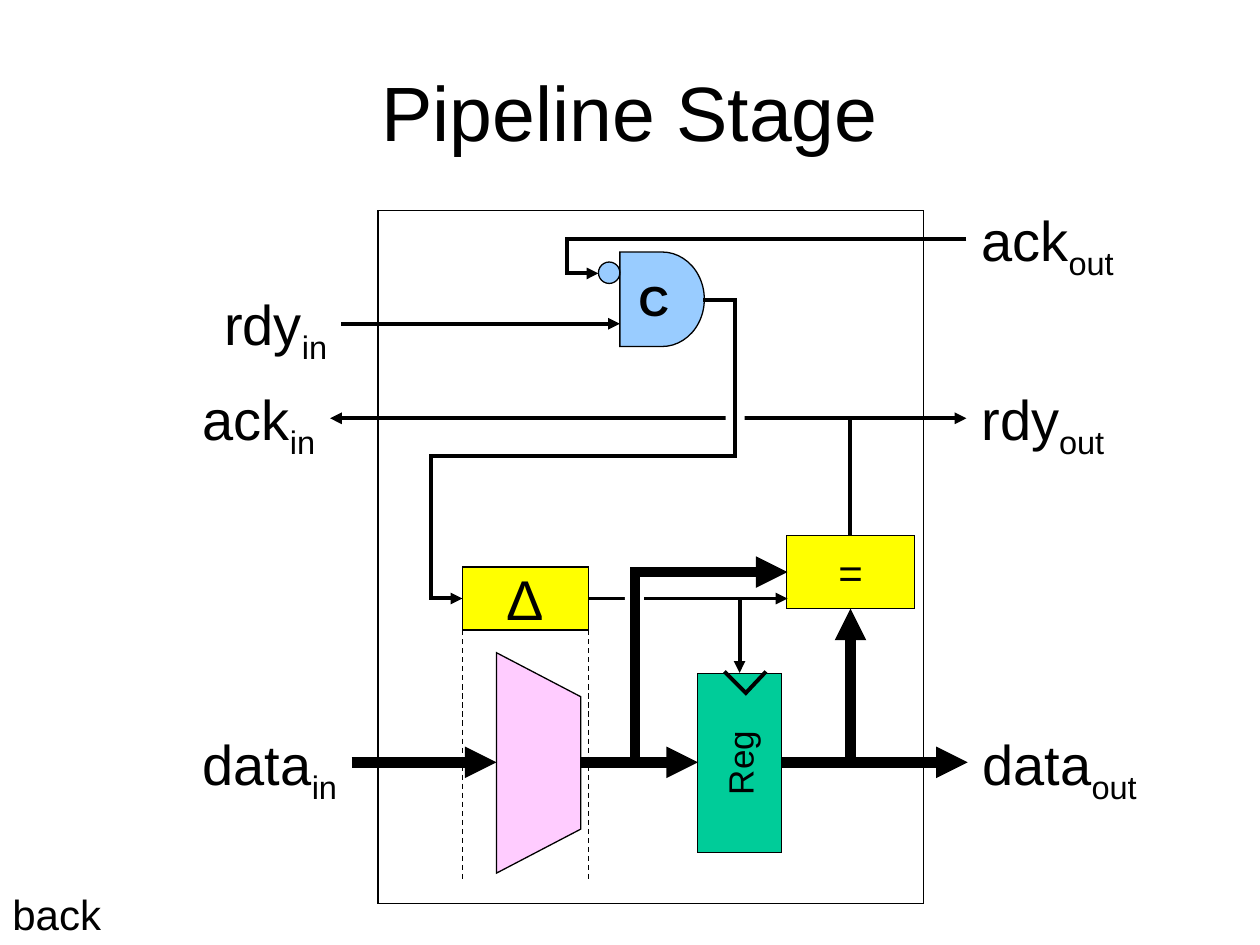
from pptx import Presentation
from pptx.dml.color import RGBColor
from pptx.enum.dml import MSO_LINE
from pptx.enum.shapes import MSO_CONNECTOR, MSO_SHAPE
from pptx.enum.text import MSO_ANCHOR, MSO_AUTO_SIZE, PP_ALIGN
from pptx.oxml.ns import qn
from pptx.util import Inches, Pt
from lxml.etree import SubElement

BLACK = RGBColor(0x00, 0x00, 0x00)
WHITE = RGBColor(0xFF, 0xFF, 0xFF)
YELLOW = RGBColor(0xFF, 0xFF, 0x00)
BLUE = RGBColor(0x99, 0xCC, 0xFF)
PINK = RGBColor(0xFF, 0xCC, 0xFF)
GREEN = RGBColor(0x00, 0xCC, 0x99)

THIN, SIGNAL, BUS = 0.75, 2.25, 6


def write(para, text, size=32, bold=False, subscript=False, align=None):
    """Add a formatted run of text to a paragraph."""
    if align is not None:
        para.alignment = align
    span = para.add_run()
    span.text = text
    span.font.name = "Arial"
    span.font.size = Pt(size)
    span.font.bold = bold
    span.font.color.rgb = BLACK
    if subscript:
        span._r.get_or_add_rPr().set("baseline", "-25000")


class Diagram:
    def __init__(self, page):
        self.page = page

    def title(self, text, left, top, width, height):
        box = self.page.shapes.title
        box.left, box.top = Inches(left), Inches(top)
        box.width, box.height = Inches(width), Inches(height)
        box.text_frame.vertical_anchor = MSO_ANCHOR.MIDDLE
        write(box.text_frame.paragraphs[0], text, size=44, align=PP_ALIGN.CENTER)

    def label(self, text, left, top, width, height, subscript="", **style):
        box = self.page.shapes.add_textbox(
            Inches(left), Inches(top), Inches(width), Inches(height))
        frame = box.text_frame
        frame.word_wrap = False
        frame.auto_size = MSO_AUTO_SIZE.SHAPE_TO_FIT_TEXT
        write(frame.paragraphs[0], text, **style)
        if subscript:
            write(frame.paragraphs[0], subscript, subscript=True, **style)

    def block(self, kind, left, top, width, height, fill=None, outline=True,
              rotation=0, text="", size=32):
        shape = self.page.shapes.add_shape(
            kind, Inches(left), Inches(top), Inches(width), Inches(height))
        shape.shadow.inherit = False
        shape.rotation = rotation
        if fill is None:
            shape.fill.background()
        else:
            shape.fill.solid()
            shape.fill.fore_color.rgb = fill
        if outline:
            self.stroke(shape, THIN)
        else:
            shape.line.fill.background()
        if text:
            frame = shape.text_frame
            frame.word_wrap = False
            frame.vertical_anchor = MSO_ANCHOR.MIDDLE
            write(frame.paragraphs[0], text, size=size, align=PP_ALIGN.CENTER)
        return shape

    def gap(self, left, top):
        """Blank patch that breaks a wire where another one crosses it."""
        self.block(MSO_SHAPE.RECTANGLE, left, top, 0.15, 0.17, WHITE, outline=False)

    def stroke(self, shape, weight, arrow=False, dashed=False):
        shape.line.color.rgb = BLACK
        shape.line.width = Pt(weight)
        if dashed:
            shape.line.dash_style = MSO_LINE.DASH
        line = shape.line._get_or_add_ln()
        SubElement(line, qn("a:miter"), lim="800000")
        if arrow:
            SubElement(line, qn("a:tailEnd"), type="triangle")

    def wire(self, start, end, weight=SIGNAL, arrow=True, dashed=False,
             source=None, target=None):
        """Straight wire; source and target are (shape, side) pairs."""
        x1, y1, x2, y2 = (Inches(value) for value in (*start, *end))
        line = self.page.shapes.add_connector(MSO_CONNECTOR.STRAIGHT, x1, y1, x2, y2)
        if source:
            line.begin_connect(*source)
        if target:
            line.end_connect(*target)
        # Joining ignores rotation, so the ends are set again
        line.begin_x, line.begin_y, line.end_x, line.end_y = x1, y1, x2, y2
        self.stroke(line, weight, arrow, dashed)
        SubElement(line._element.spPr, qn("a:effectLst"))

    def route(self, *points, weight=SIGNAL, arrow=True):
        """Wire with corners, from the first point to the last."""
        corners = [(Inches(x), Inches(y)) for x, y in points]
        builder = self.page.shapes.build_freeform(*corners[0])
        builder.add_line_segments(corners[1:], close=False)
        shape = builder.convert_to_shape()
        shape.shadow.inherit = False
        shape.fill.background()
        self.stroke(shape, weight, arrow)


def main():
    deck = Presentation()
    deck.slide_width, deck.slide_height = Inches(10), Inches(7.5)
    page = deck.slides.add_slide(deck.slide_layouts[5])
    diagram = Diagram(page)
    diagram.title("Pipeline Stage", 0.75, 0.25, 8.5, 1.25)

    # Completion signal to both neighbours
    for end in (7.67, 2.62):
        diagram.route((6.75, 4.25), (6.75, 3.32), (end, 3.32))
    diagram.block(MSO_SHAPE.RECTANGLE, 6.24, 4.25, 1.02, 0.58, YELLOW,
                  text="=", size=24)
    diagram.gap(5.76, 3.25)

    # Stage outline
    diagram.block(MSO_SHAPE.RECTANGLE, 3, 1.67, 4.33, 5.5)

    # Port names
    for name, direction, left, top, width in (
            ("rdy", "in", 1.68, 2.25, 1.04),
            ("ack", "out", 7.69, 1.58, 1.27),
            ("rdy", "out", 7.69, 3, 1.19),
            ("ack", "in", 1.51, 3, 1.11),
            ("data", "in", 1.51, 5.74, 1.28),
            ("data", "out", 7.7, 5.74, 1.44)):
        diagram.label(name, left, top, width, 0.71, subscript=direction)

    # C element with its inverted input
    diagram.block(MSO_SHAPE.FLOWCHART_DELAY, 4.92, 2, 0.67, 0.75, BLUE)
    diagram.block(MSO_SHAPE.OVAL, 4.75, 2.08, 0.17, 0.17, BLUE)
    diagram.label("C", 4.97, 2.13, 0.46, 0.5, size=24, bold=True)

    # Delay, logic and register
    delay = diagram.block(MSO_SHAPE.RECTANGLE, 3.67, 4.5, 1, 0.5, YELLOW, text="Δ")
    diagram.block(MSO_SHAPE.FLOWCHART_MANUAL_OPERATION, 3.4, 5.72, 1.75, 0.67,
                  PINK, rotation=270)
    register = diagram.block(MSO_SHAPE.RECTANGLE, 5.16, 5.72, 1.42, 0.67, GREEN,
                             rotation=270, text="Reg", size=20)
    diagram.route((5.75, 5.33), (5.92, 5.5), (6.08, 5.33), arrow=False)
    for x in (3.67, 4.67):
        diagram.wire((x, 4.5), (x, 7), THIN, arrow=False, dashed=True)

    # Control wires
    diagram.route((7.67, 1.9), (4.5, 1.9), (4.5, 2.17), (4.75, 2.17))
    diagram.wire((2.71, 2.57), (4.92, 2.57))
    diagram.route((5.58, 2.38), (5.83, 2.38), (5.83, 3.62), (3.42, 3.62),
                  (3.42, 4.75), (3.67, 4.75))
    diagram.route((4.67, 4.75), (5.87, 4.75), (5.87, 5.34))
    diagram.wire((4.67, 4.75), (6.25, 4.75), source=(delay, 3))
    diagram.gap(4.96, 4.67)

    # Data buses
    diagram.wire((2.79, 6.05), (3.94, 6.05), BUS)
    diagram.wire((4.61, 6.05), (5.54, 6.05), BUS, target=(register, 0))
    diagram.wire((6.2, 6.05), (7.68, 6.05), BUS, source=(register, 2))
    diagram.route((6.2, 6.05), (6.75, 6.05), (6.75, 4.83), weight=BUS)
    diagram.route((4.61, 6.05), (5.04, 6.05), (5.04, 4.54), (6.25, 4.54), weight=BUS)

    diagram.label("back", 0, 7, 0.92, 0.5, size=24)
    deck.save("out.pptx")


if __name__ == "__main__":
    main()
